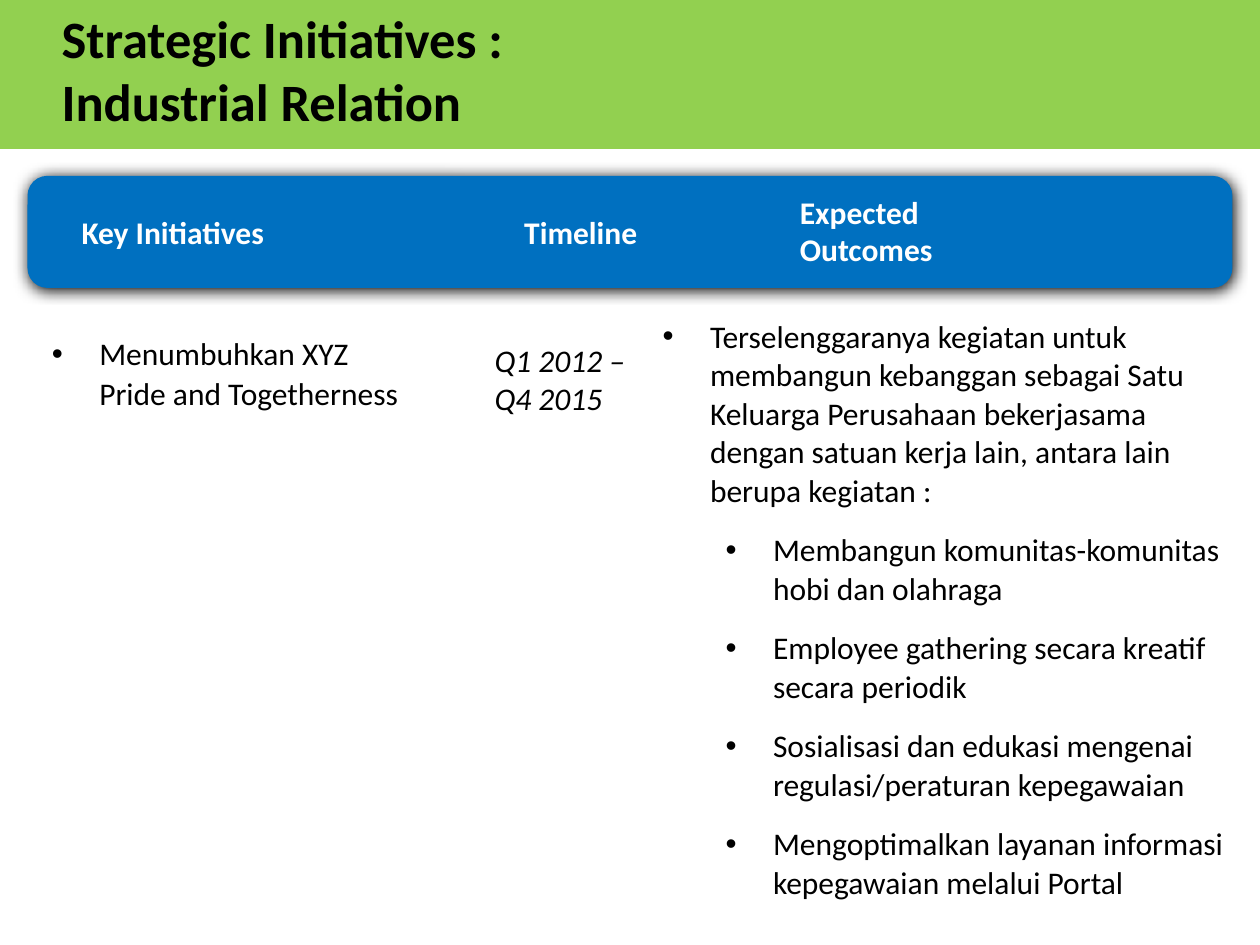
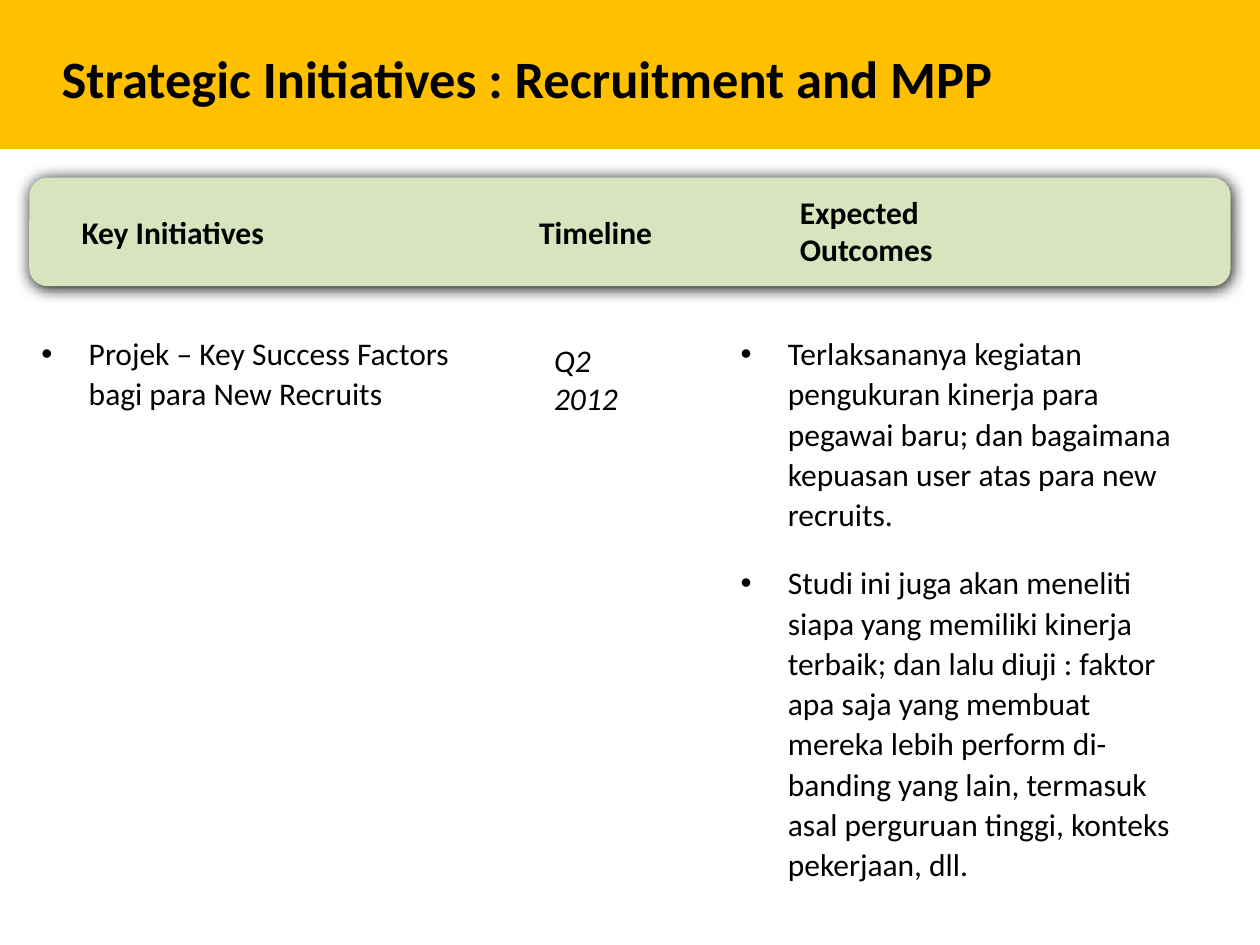
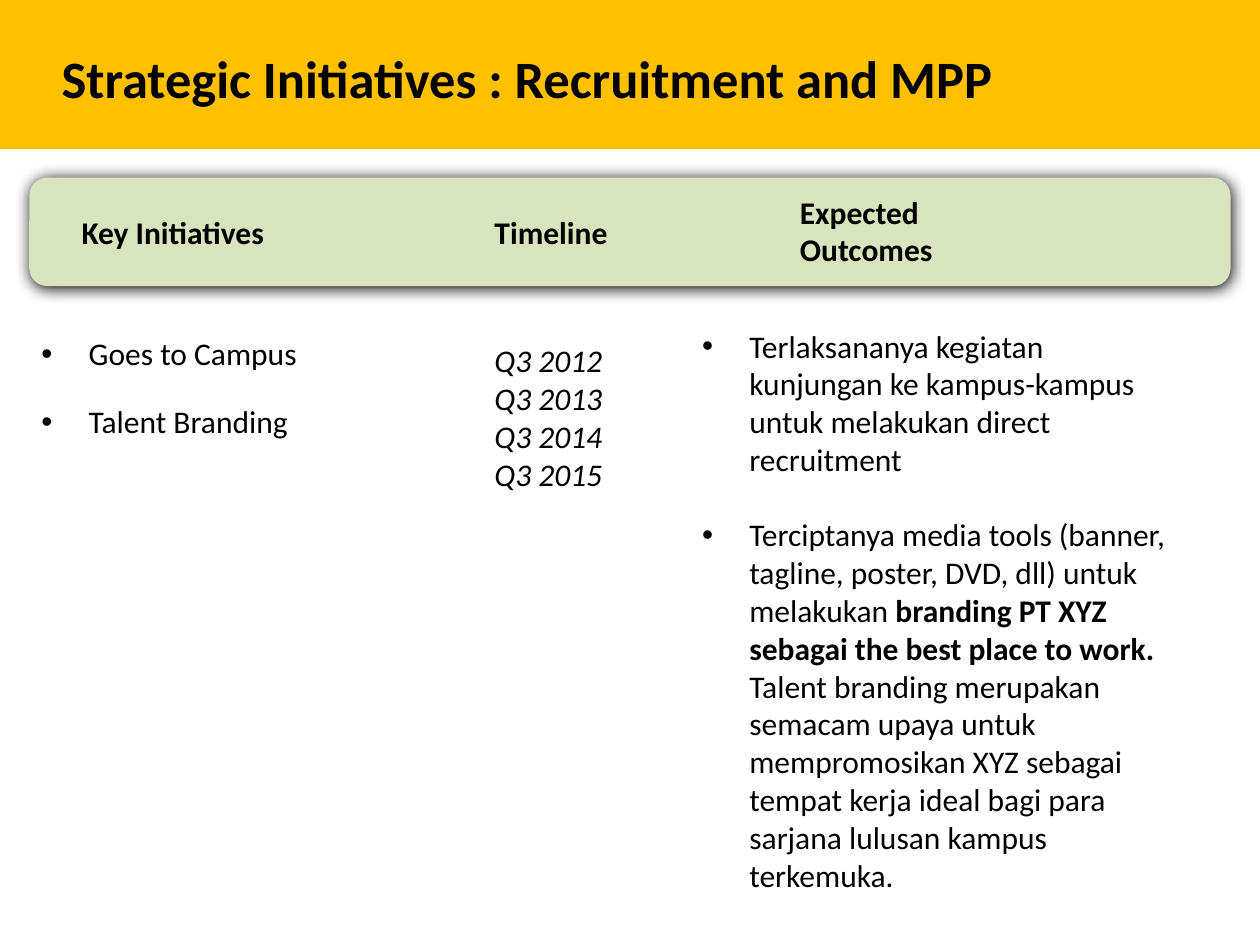
import pptx
import pptx.dml.color
import pptx.enum.shapes
import pptx.enum.text
import pptx.oxml
import pptx.oxml.ns
import pptx.util
from lxml import etree

Pt = pptx.util.Pt
MSO_SHAPE = pptx.enum.shapes.MSO_SHAPE
FONT = "Calibri"
BLACK, WHITE = "000000", "FFFFFF"
GREEN, AMBER, BLUE, PALE_GREEN = "92D050", "FFC000", "0070C0", "D7E4BD"
TWO_CONTENT = 3
INDENT = 27
LEVEL_STEP = 36

SHADOW = (
    '<a:effectLst xmlns:a="http://schemas.openxmlformats.org/drawingml/2006/main">'
    '<a:outerShdw blurRad="107950" dist="12700" dir="5400000" algn="ctr" rotWithShape="0">'
    f'<a:srgbClr val="{BLACK}"/></a:outerShdw></a:effectLst>'
)


def rgb(color):
    return pptx.dml.color.RGBColor.from_string(color)


def place(sp, left, top, width, height):
    sp.left, sp.top, sp.width, sp.height = Pt(left), Pt(top), Pt(width), Pt(height)


def style_runs(p, size, color=BLACK, bold=False, italic=False):
    for r in p.runs:
        r.font.name, r.font.size = FONT, Pt(size)
        r.font.bold, r.font.italic = bold, italic
        r.font.color.rgb = rgb(color)


def add_block(slide, kind, box, fill, line=None):
    sp = slide.shapes.add_shape(kind, *map(Pt, box))
    sp.shadow.inherit = False
    sp.fill.solid()
    sp.fill.fore_color.rgb = rgb(fill)
    if line:
        sp.line.color.rgb = rgb(line)
        sp.line.width = Pt(2)
    else:
        sp.line.fill.background()
    return sp


def add_text(slide, text, box, color=BLACK, bold=False, italic=False):
    sp = slide.shapes.add_textbox(*map(Pt, box))
    tf = sp.text_frame
    tf.word_wrap = True
    tf.text = text
    for p in tf.paragraphs:
        style_runs(p, 18, color, bold, italic)


def set_title(slide, text, box, color):
    """Fill the title and lay the coloured band behind it."""
    band = add_block(slide, MSO_SHAPE.RECTANGLE, (0, 0, 720, 84), color, color)
    slide.shapes.element.insert(2, band.element)
    sp = slide.shapes.title
    place(sp, *box)
    tf = sp.text_frame
    tf.text = text
    tf.word_wrap = True
    tf.auto_size = pptx.enum.text.MSO_AUTO_SIZE.NONE
    tf.vertical_anchor = pptx.enum.text.MSO_ANCHOR.TOP
    for p in tf.paragraphs:
        p.alignment = pptx.enum.text.PP_ALIGN.LEFT
        style_runs(p, 30, bold=True)


def add_header(slide, timeline_left, fill, color, line=None):
    """Rounded bar with the three column headings."""
    bar = add_block(slide, MSO_SHAPE.ROUNDED_RECTANGLE, (16.75, 101.5, 686.5, 62), fill, line)
    sp_pr = bar.element.spPr
    sp_pr.replace(sp_pr.find(pptx.oxml.ns.qn("a:effectLst")), pptx.oxml.parse_xml(SHADOW))
    headings = [
        ("Key Initiatives", (39.5, 118, 120, 29)),
        ("Timeline", (timeline_left, 118, 80, 29)),
        ("Expected Outcomes", (450, 106.5, 116.5, 51)),
    ]
    for text, box in headings:
        add_text(slide, text, box, color, bold=True)


def set_list(slide, idx, items, box, leading=23, before=8, after=8):
    """Fill a body placeholder; items are (level, text), with ** around bold words."""
    sp = slide.placeholders[idx]
    place(sp, *box)
    tf = sp.text_frame
    tf.word_wrap = True
    tf.auto_size = pptx.enum.text.MSO_AUTO_SIZE.NONE
    for i, (level, text) in enumerate(items):
        p = tf.add_paragraph() if i else tf.paragraphs[0]
        p.level = level
        pPr = p._p.get_or_add_pPr()
        pPr.set("marL", str(Pt(INDENT + level * LEVEL_STEP)))
        pPr.set("indent", str(-Pt(INDENT)))
        etree.SubElement(pPr, pptx.oxml.ns.qn("a:buChar")).set("char", "•")
        p.line_spacing = Pt(leading) if leading else 1.0
        p.space_before = Pt(before if i else 0)
        p.space_after = Pt(after)
        for part in text.split("**"):
            p.add_run().text = part
        style_runs(p, 18)
        for r in p.runs[1::2]:
            r.font.bold = True


def add_industrial_relation(slide):
    set_title(slide, "Strategic Initiatives :\nIndustrial Relation", (28, 0, 270, 80), GREEN)
    set_list(slide, 1, [(0, "Menumbuhkan XYZ Pride and Togetherness")], (22.5, 186, 225.5, 54))
    add_text(slide, "Q1 2012 – Q4 2015", (275.5, 191.5, 106.5, 51), italic=True)
    add_header(slide, 292.5, BLUE, WHITE, BLUE)
    outcomes = [
        (0, "Terselenggaranya kegiatan untuk membangun kebanggan sebagai Satu Keluarga "
            "Perusahaan bekerjasama dengan satuan kerja lain, antara lain berupa kegiatan :"),
        (1, "Membangun komunitas-komunitas hobi dan olahraga"),
        (1, "Employee gathering secara kreatif secara periodik"),
        (1, "Sosialisasi dan edukasi mengenai regulasi/peraturan kepegawaian"),
        (1, "Mengoptimalkan layanan informasi kepegawaian melalui Portal"),
    ]
    set_list(slide, 2, outcomes, (371.5, 177, 348.5, 345), 22, 6, 6)


def add_recruitment(slide, initiatives, timeline_left):
    """Parts shared by both recruitment slides."""
    set_title(slide, "Strategic Initiatives : Recruitment and MPP", (28, 22.5, 552, 44), AMBER)
    set_list(slide, 1, [(0, text) for text in initiatives], (16.5, 186, 270, 70))
    add_header(slide, timeline_left, PALE_GREEN, BLACK)


def add_new_recruits(slide):
    add_recruitment(slide, ["Projek – Key Success Factors bagi para New Recruits"], 301)
    add_text(slide, "Q2\n2012", (309.5, 191.5, 54, 51), italic=True)
    outcomes = [
        (0, "Terlaksananya kegiatan pengukuran kinerja para pegawai baru; dan bagaimana "
            "kepuasan user atas para new recruits."),
        (0, "Studi ini juga akan meneliti siapa yang memiliki kinerja terbaik; dan lalu diuji : "
            "faktor apa saja yang membuat mereka lebih perform di-banding yang lain, termasuk "
            "asal perguruan tinggi, konteks pekerjaan, dll."),
    ]
    set_list(slide, 2, outcomes, (416, 186, 264.5, 325.5))


def add_campus_branding(slide):
    add_recruitment(slide, ["Goes to Campus", "Talent Branding"], 275.5)
    quarters = "\n".join(f"Q3 {year}" for year in range(2012, 2016))
    add_text(slide, quarters, (275.5, 191.5, 124, 94.5), italic=True)
    outcomes = [
        (0, "Terlaksananya kegiatan kunjungan ke kampus-kampus untuk melakukan direct recruitment"),
        (0, "Terciptanya media tools (banner, tagline, poster, DVD, dll) untuk melakukan "
            "**branding PT XYZ sebagai the best place to work. **"
            "Talent branding merupakan semacam upaya untuk mempromosikan XYZ sebagai tempat "
            "kerja ideal bagi para sarjana lulusan kampus terkemuka."),
    ]
    set_list(slide, 2, outcomes, (394, 183, 286.5, 334), None, 21.5, 0)


def main():
    prs = pptx.Presentation()
    prs.slide_width, prs.slide_height = Pt(720), Pt(540)
    for build in (add_industrial_relation, add_new_recruits, add_campus_branding):
        build(prs.slides.add_slide(prs.slide_layouts[TWO_CONTENT]))
    prs.save("out.pptx")


if __name__ == "__main__":
    main()
